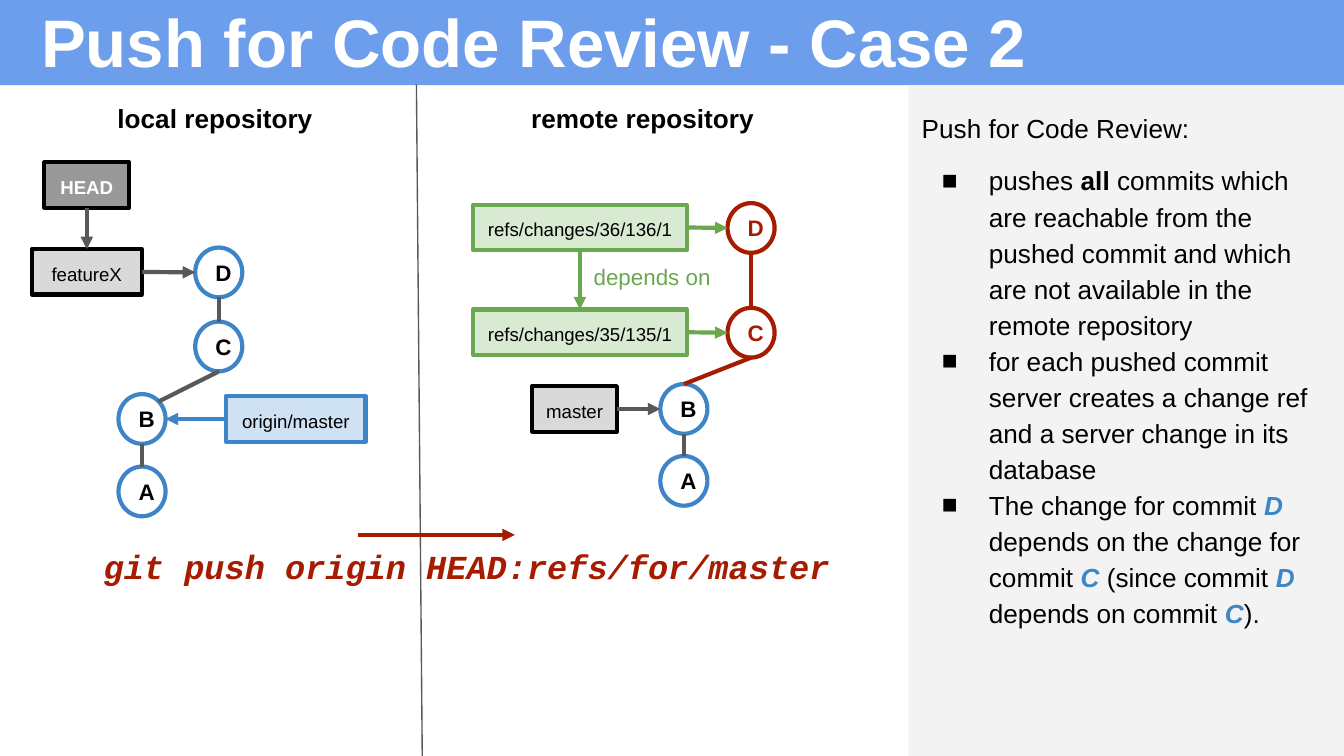
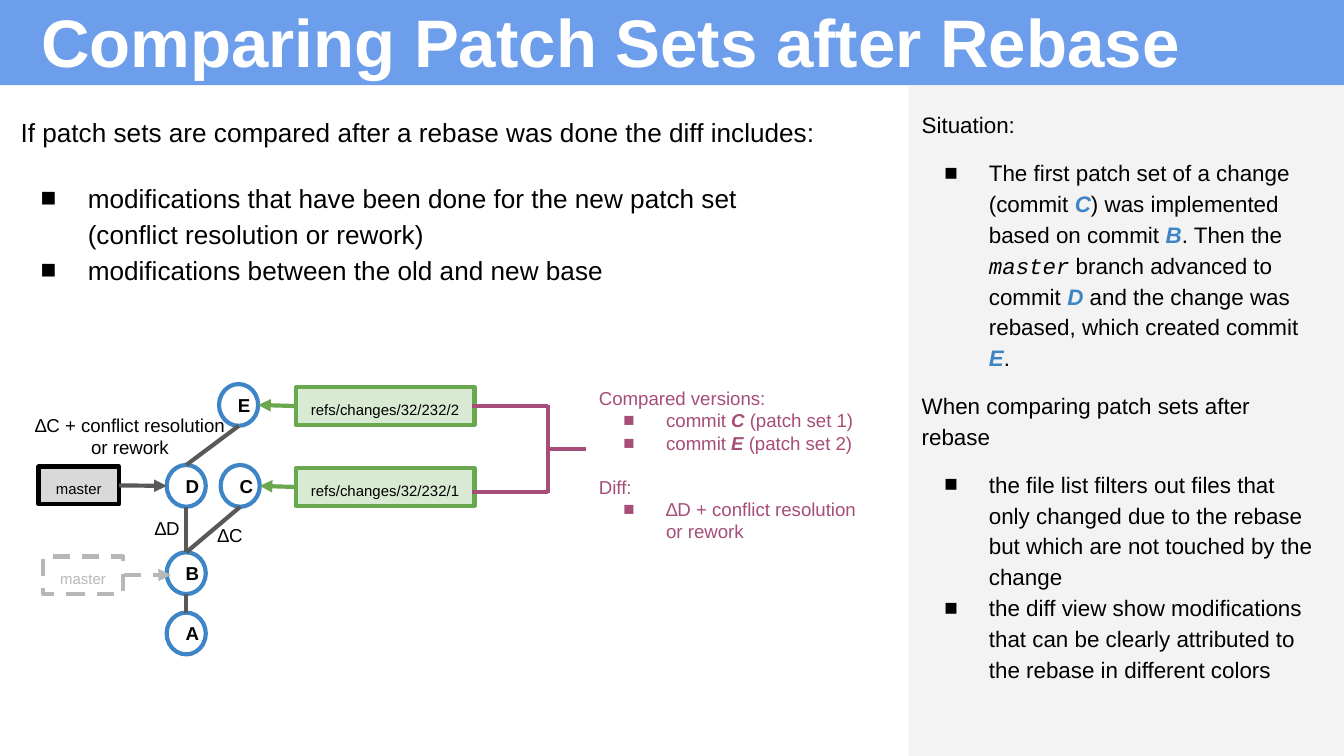
"""Build two slides on pushing commits for code review and comparing patch sets."""
import dataclasses

import pptx
import pptx.dml.color
import pptx.enum.dml
import pptx.enum.shapes
import pptx.enum.text
import pptx.oxml.ns
import pptx.util
from lxml import etree

Cm, Pt, qn = pptx.util.Cm, pptx.util.Pt, pptx.oxml.ns.qn
SHAPE = pptx.enum.shapes.MSO_SHAPE
ALIGN = pptx.enum.text.PP_ALIGN
ANCHOR = pptx.enum.text.MSO_ANCHOR


@dataclasses.dataclass(frozen=True)
class Theme:
    font: str = "Arial"
    mono: str = "Courier New"
    band: str = "6D9EEB"
    panel: str = "F3F3F3"
    white: str = "FFFFFF"
    black: str = "000000"
    line: str = "595959"
    dark: str = "999999"
    grey: str = "D9D9D9"
    faded: str = "B7B7B7"
    blue: str = "3D85C6"
    pale_blue: str = "CFE2F3"
    green: str = "6AA84F"
    pale_green: str = "D9EAD3"
    red: str = "A61C00"
    plum: str = "A64D79"
    title: int = 36
    command: int = 18
    large: int = 14
    body: int = 12
    small: int = 10
    tiny: int = 8
    stroke: float = 2.25
    hairline: float = 0.75


T = Theme()

STRONG = dict(bold=True)
COMMIT = dict(bold=True, italic=True, color=T.blue)
PICKED = dict(bold=True, italic=True)
CODE = dict(font=T.mono, italic=True)

KINDS = {
    "commit": dict(shape=SHAPE.OVAL, line=T.blue, bold=True),
    "new": dict(shape=SHAPE.OVAL, line=T.red, color=T.red, bold=True),
    "head": dict(fill=T.dark, line=T.black, color=T.white, bold=True),
    "branch": dict(fill=T.grey, line=T.black),
    "tracking": dict(fill=T.pale_blue, line=T.blue),
    "change": dict(fill=T.pale_green, line=T.green),
    "old": dict(line=T.faded, color=T.faded, dash=True),
}
SIDES = {"t": (0.5, 0), "b": (0.5, 1), "l": (0, 0.5), "r": (1, 0.5), "tr": (0.85, 0.15)}

PUSH = dict(
    title="Push for Code Review - Case 2",
    commit=(0.89, 0.94), box_height=0.86, commit_size=T.body, box_size=T.small,
    panel_size=T.large, panel_hang=0.89,
    panel=[
        dict(runs=["Push for Code Review:"], before=9),
        dict(runs=["pushes ", ("all", STRONG), " commits which are reachable from the pushed "
                   "commit and which are not available in the remote repository"],
             bullet=True, before=9),
        dict(runs=["for each pushed commit server creates a change ref and a server change "
                   "in its database"], bullet=True),
        dict(runs=["The change for commit ", ("D", COMMIT), " depends on the change for commit ",
                   ("C", COMMIT), " (since commit ", ("D", COMMIT), " depends on commit ",
                   ("C", COMMIT), ")."], bullet=True),
    ],
    commits=[
        ("local B", "commit", 2.24, 7.45), ("local A", "commit", 2.24, 8.82),
        ("local C", "commit", 3.69, 6.08), ("local D", "commit", 3.69, 4.68),
        ("remote B", "commit", 12.48, 7.26), ("remote A", "commit", 12.48, 8.62),
        ("remote C", "new", 13.75, 5.82), ("remote D", "new", 13.75, 3.84),
    ],
    boxes=[
        ("featureX", "featureX", "branch", 0.6, 4.71, 2.08),
        ("HEAD", "HEAD", "head", 0.84, 3.07, 1.6),
        ("origin", "origin/master", "tracking", 4.27, 7.49, 2.64),
        ("master", "master", "branch", 10.06, 7.3, 1.6),
        ("change D", "refs/changes/36/136/1", "change", 8.94, 3.87, 4.04),
        ("change C", "refs/changes/35/135/1", "change", 8.94, 5.85, 4.04),
    ],
    links=[
        ("local A", "t", "local B", "b", {}),
        ("local B", "tr", "local C", "b", {}),
        ("local C", "t", "local D", "b", {}),
        ("featureX", "r", "local D", "l", dict(arrow=True)),
        ("HEAD", "b", "featureX", "t", dict(arrow=True)),
        ("origin", "l", "local B", "r", dict(arrow=True, color=T.blue)),
        ("remote A", "t", "remote B", "b", {}),
        ("remote C", "t", "remote D", "b", dict(color=T.red)),
        ("remote B", "t", "remote C", "b", dict(color=T.red)),
        ("master", "r", "remote B", "l", dict(arrow=True)),
        ("change D", "r", "remote D", "l", dict(arrow=True, color=T.green)),
        ("change C", "r", "remote C", "l", dict(arrow=True, color=T.green)),
        ("change D", "b", "change C", "t", dict(arrow=True, color=T.green)),
    ],
    lines=[
        ((7.87, 1.6), (7.98, 14.29), dict(width=T.hairline)),
        ((6.76, 10.11), (9.73, 10.11), dict(arrow=True, color=T.red)),
    ],
    texts=[
        ((1.45, 1.68, 5.23, 1.27), "local repository",
         dict(size=T.large, bold=True, align=ALIGN.CENTER)),
        ((9.53, 1.68, 5.23, 1.27), "remote repository",
         dict(size=T.large, bold=True, align=ALIGN.CENTER)),
        ((10.97, 4.72, 3.2, 1.12), "depends on", dict(size=T.body, color=T.green)),
        ((1.71, 10.07, 14.71, 1.32), "git push origin HEAD:refs/for/master",
         dict(size=T.command, font=T.mono, color=T.red, bold=True, italic=True)),
    ],
)

COMPARE = dict(
    title="Comparing Patch Sets after Rebase",
    commit=(0.74, 0.79), box_height=0.71, commit_size=T.small, box_size=T.tiny,
    panel_size=T.body, panel_hang=0.84,
    panel=[
        dict(runs=["Situation:"], before=9),
        dict(runs=["The first patch set of a change (commit ", ("C", COMMIT),
                   ") was implemented based on commit ", ("B", COMMIT), ". Then the ",
                   ("master", CODE), " branch advanced to commit ", ("D", COMMIT),
                   " and the change was rebased, which created commit ", ("E", COMMIT), "."],
             bullet=True, before=9),
        dict(runs=["When comparing patch sets after rebase"], before=9),
        dict(runs=["the file list filters out files that only changed due to the rebase "
                   "but which are not touched by the change"], bullet=True, before=9),
        dict(runs=["the diff view show modifications that can be clearly attributed to "
                   "the rebase in different colors"], bullet=True),
    ],
    commits=[
        ("B", "commit", 3.15, 10.44), ("A", "commit", 3.15, 11.58),
        ("C", "commit", 4.17, 8.79), ("E", "commit", 4.14, 7.26),
        ("D", "commit", 3.15, 8.79),
    ],
    boxes=[
        ("set 1", "refs/changes/32/232/1", "change", 5.59, 8.85, 3.38),
        ("set 2", "refs/changes/32/232/2", "change", 5.59, 7.32, 3.38),
        ("master", "master", "branch", 0.73, 8.82, 1.52),
        ("old master", "master", "old", 0.81, 10.52, 1.52),
    ],
    links=[
        ("A", "t", "B", "b", {}),
        ("B", "t", "C", "b", {}),
        ("D", "t", "E", "b", {}),
        ("B", "t", "D", "b", {}),
        ("set 2", "l", "E", "r", dict(arrow=True, color=T.green)),
        ("set 1", "l", "C", "r", dict(arrow=True, color=T.green)),
        ("master", "r", "D", "l", dict(arrow=True)),
    ],
    lines=[
        ((2.34, 10.87), (3.23, 10.87), dict(arrow=True, color=T.faded, dash=True)),
        ((8.92, 7.67), (10.36, 7.67), dict(color=T.plum)),
        ((8.92, 9.3), (10.36, 9.3), dict(color=T.plum)),
        ((10.36, 9.32), (10.36, 7.65), dict(color=T.plum)),
        ((10.36, 8.48), (11.07, 8.48), dict(color=T.plum)),
    ],
    texts=[
        ((0.36, 7.57, 4.19, 1.27), "∆C + conflict resolution or rework",
         dict(size=T.small, align=ALIGN.CENTER)),
        ((3.84, 9.69, 1.02, 0.71), "∆C", dict(size=T.small, align=ALIGN.CENTER)),
        ((2.65, 9.56, 1.02, 0.71), "∆D", dict(size=T.small, align=ALIGN.CENTER)),
        ((0.14, 1.86, 15.77, 4.7), [
            dict(runs=["If patch sets are compared after a rebase was done the diff includes:"]),
            dict(runs=["modifications that have been done for the new patch set\n"
                       "(conflict resolution or rework)"], bullet=True, before=16),
            dict(runs=["modifications between the old and new base"], bullet=True),
        ], dict(size=T.large, spacing=1.15)),
        ((11.07, 7.06, 5.41, 3.63), [
            dict(runs=["Compared versions:"]),
            dict(runs=["commit ", ("C", PICKED), " (patch set 1)"], bullet=True),
            dict(runs=["commit ", ("E ", PICKED), "(patch set 2)"], bullet=True),
            dict(runs=["Diff:"], before=11.5),
            dict(runs=["∆D + conflict resolution or rework"], bullet=True),
        ], dict(size=T.small, color=T.plum, hang=0.81)),
    ],
)


def rgb(color):
    return pptx.dml.color.RGBColor.from_string(color)


def add_bullet(p, color, hang):
    pPr = p._p.get_or_add_pPr()
    pPr.set("marL", str(Cm(1.27)))
    pPr.set("indent", str(-Cm(hang)))
    etree.SubElement(etree.SubElement(pPr, qn("a:buClr")), qn("a:srgbClr"), val=color)
    etree.SubElement(pPr, qn("a:buFont"), typeface=T.font)
    etree.SubElement(pPr, qn("a:buChar"), char="■")


def write(sp, content, *, size, font=T.font, color=T.black, bold=False, italic=False,
          align=ALIGN.LEFT, anchor=ANCHOR.TOP, spacing=None, hang=0.89):
    tf = sp.text_frame
    tf.word_wrap = True
    tf.vertical_anchor = anchor
    tf.margin_left = tf.margin_top = tf.margin_right = tf.margin_bottom = Cm(0.25)
    base = dict(font=font, color=color, bold=bold, italic=italic)
    paragraphs = [dict(runs=[content])] if isinstance(content, str) else content
    for i, item in enumerate(paragraphs):
        p = tf.add_paragraph() if i else tf.paragraphs[0]
        p.alignment = align
        p.space_before = Pt(item.get("before", 0))
        if spacing:
            p.line_spacing = spacing
        if item.get("bullet"):
            add_bullet(p, color, hang)
        for run in item["runs"]:
            text, extra = (run, {}) if isinstance(run, str) else run
            look = {**base, **extra}
            for n, part in enumerate(text.split("\n")):
                if n:
                    p.add_line_break()
                    etree.SubElement(p._p[-1], qn("a:rPr"), sz=str(size * 100))
                r = p.add_run()
                r.text = part
                r.font.size, r.font.name = Pt(size), look["font"]
                r.font.bold, r.font.italic = look["bold"], look["italic"]
                r.font.color.rgb = rgb(look["color"])


def add_text(s, box, content, **look):
    write(s.shapes.add_textbox(*map(Cm, box)), content, **look)


def style_line(line, color, width=T.stroke, dash=False):
    line.color.rgb = rgb(color)
    line.width = Pt(width)
    if dash:
        line.dash_style = pptx.enum.dml.MSO_LINE.DASH


def add_block(s, box, shape=SHAPE.RECTANGLE, fill=None, line=None, dash=False):
    sp = s.shapes.add_shape(shape, *map(Cm, box))
    sp.shadow.inherit = False
    if fill:
        sp.fill.solid()
        sp.fill.fore_color.rgb = rgb(fill)
    else:
        sp.fill.background()
    if line:
        style_line(sp.line, line, dash=dash)
    else:
        sp.line.fill.background()
    return sp


def add_node(s, box, text, kind, size):
    look = dict(KINDS[kind])
    block = {k: look.pop(k) for k in ("shape", "fill", "line", "dash") if k in look}
    anchor = ANCHOR.MIDDLE if "shape" in block else ANCHOR.TOP
    write(add_block(s, box, **block), text, size=size, align=ALIGN.CENTER, anchor=anchor, **look)


def add_line(s, start, end, color=T.line, width=T.stroke, arrow=False, dash=False):
    cx = s.shapes.add_connector(pptx.enum.shapes.MSO_CONNECTOR.STRAIGHT, *map(Cm, start + end))
    style_line(cx.line, color, width, dash)
    if arrow:
        etree.SubElement(cx.line._get_or_add_ln(), qn("a:tailEnd"), type="triangle")
    etree.SubElement(cx._element.spPr, qn("a:effectLst"))


def side_point(box, side):
    x, y, w, h = box
    fx, fy = SIDES[side]
    return x + fx * w, y + fy * h


def add_slide(prs, c):
    s = prs.slides.add_slide(prs.slide_layouts[6])
    add_block(s, (0, 0, 25.43, 1.61), fill=T.band)
    add_text(s, (0.53, -0.29, 23.93, 2.11), c["title"], size=T.title, color=T.white,
             bold=True, anchor=ANCHOR.MIDDLE)
    add_block(s, (17.17, 1.63, 8.26, 12.7), fill=T.panel)
    add_text(s, (17.17, 1.78, 8.02, 11.89), c["panel"], size=c["panel_size"],
             spacing=1.15, hang=c["panel_hang"])
    places = {}
    for name, kind, x, y in c["commits"]:
        places[name] = (x, y, *c["commit"])
        add_node(s, places[name], name[-1], kind, c["commit_size"])
    for name, text, kind, x, y, w in c["boxes"]:
        places[name] = (x, y, w, c["box_height"])
        add_node(s, places[name], text, kind, c["box_size"])
    for a, a_side, b, b_side, look in c["links"]:
        add_line(s, side_point(places[a], a_side), side_point(places[b], b_side), **look)
    for start, end, look in c["lines"]:
        add_line(s, start, end, **look)
    for box, content, look in c["texts"]:
        add_text(s, box, content, **look)


def main():
    prs = pptx.Presentation()
    prs.slide_width, prs.slide_height = Cm(25.4), Cm(14.29)
    for content in (PUSH, COMPARE):
        add_slide(prs, content)
    prs.save("out.pptx")


if __name__ == "__main__":
    main()
